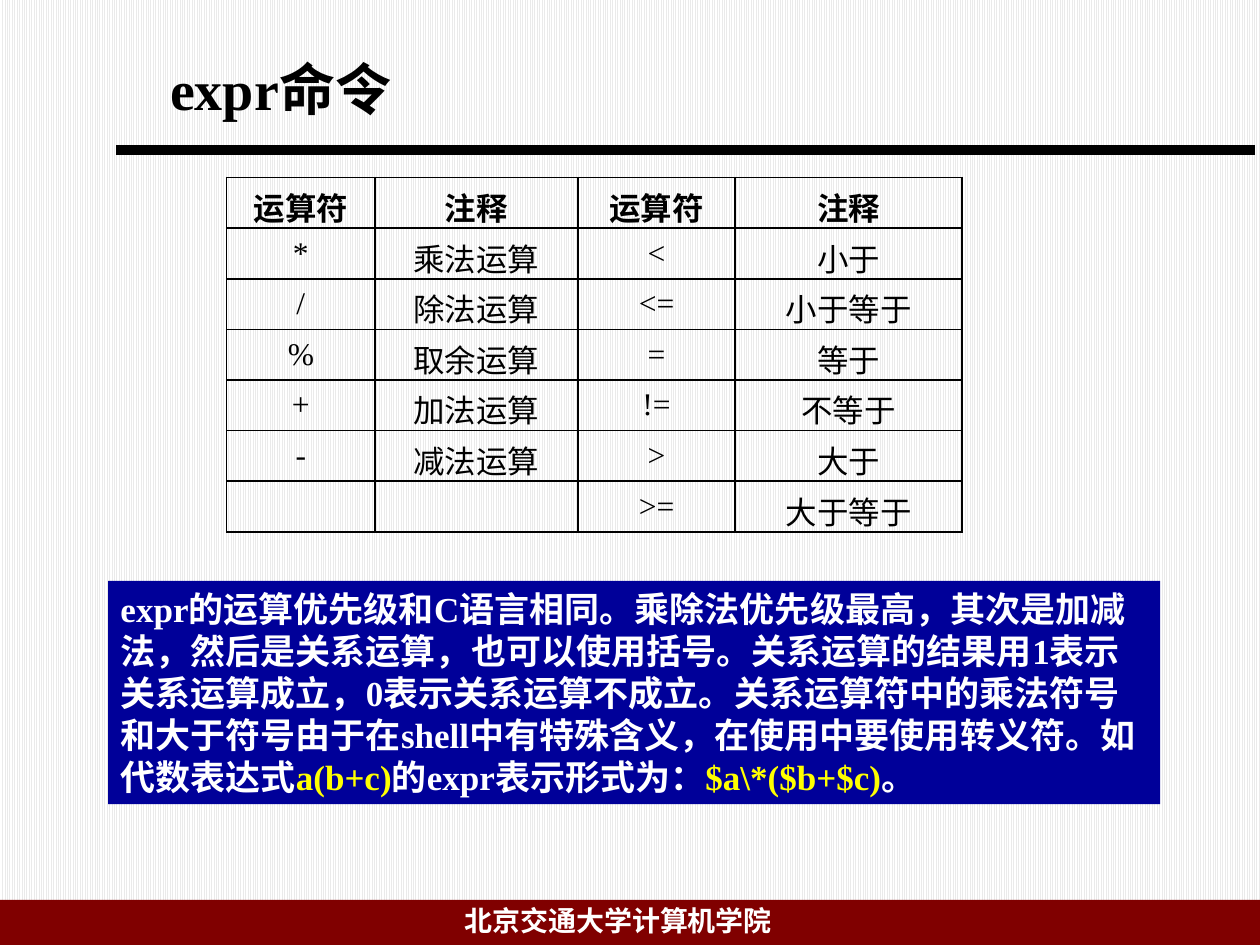
from pptx import Presentation
from pptx import util as u
from pptx.dml.color import RGBColor
from pptx.enum import dml, shapes, text
from pptx.oxml import parse_xml
from pptx.oxml.ns import nsdecls

BLACK = RGBColor(0x00, 0x00, 0x00)
WHITE = RGBColor(0xFF, 0xFF, 0xFF)
STRIPE = RGBColor(0xEA, 0xEA, 0xEA)
MAROON = RGBColor(0x80, 0x00, 0x00)
NAVY = RGBColor(0x00, 0x00, 0x99)
YELLOW = RGBColor(0xFF, 0xFF, 0x00)

OPERATORS = [
    ("运算符", "注释", "运算符", "注释"),
    ("*", "乘法运算", "<", "小于"),
    ("/", "除法运算", "<=", "小于等于"),
    ("%", "取余运算", "=", "等于"),
    ("+", "加法运算", "!=", "不等于"),
    ("-", "减法运算", ">", "大于"),
    ("", "", ">=", "大于等于"),
]
COLUMN_WIDTHS = (2.99, 4.09, 3.17, 4.57)
ROW_HEIGHT = 1.02

EXPLANATION = [
    ("expr的运算优先级和C语言相同。乘除法优先级最高，其次是加减法，然后是关系运算，"
     "也可以使用括号。关系运算的结果用1表示关系运算成立，0表示关系运算不成立。"
     "关系运算符中的乘法符号和大于符号由于在shell中有特殊含义，在使用中要使用转义符。"
     "如代数表达式", WHITE),
    ("a(b+c)", YELLOW),
    ("的expr表示形式为：", WHITE),
    ("$a\\*($b+$c)", YELLOW),
    ("。", WHITE),
]


class SlideBuilder:
    font_name = "Times New Roman"

    def __init__(self, slide):
        self.slide = slide

    def background(self, foreground, back):
        fill = self.slide.background.fill
        fill.patterned()
        fill.pattern = dml.MSO_PATTERN.LIGHT_VERTICAL
        fill.fore_color.rgb = foreground
        fill.back_color.rgb = back

    def add_runs(self, frame, runs, size, bold=True, align=text.PP_ALIGN.LEFT):
        """Fill the first paragraph of a frame with (words, colour) runs."""
        paragraph = frame.paragraphs[0]
        paragraph.alignment = align
        paragraph.font.size = u.Pt(size)
        for words, color in runs:
            run = paragraph.add_run()
            run.text = words
            run.font.name = self.font_name
            run.font.size = u.Pt(size)
            run.font.bold = bold
            run.font.color.rgb = color

    def rule(self, left, top, right, width):
        line = self.slide.shapes.add_connector(
            shapes.MSO_CONNECTOR.STRAIGHT, u.Cm(left), u.Cm(top), u.Cm(right), u.Cm(top))
        line.line.color.rgb = BLACK
        line.line.width = u.Pt(width)
        line._element.spPr.append(parse_xml(f"<a:effectLst {nsdecls('a')}/>"))

    def panel(self, left, top, width, height, color):
        shape = self.slide.shapes.add_shape(
            shapes.MSO_SHAPE.RECTANGLE, u.Cm(left), u.Cm(top), u.Cm(width), u.Cm(height))
        shape.shadow.inherit = False
        shape.fill.solid()
        shape.fill.fore_color.rgb = color
        shape.line.fill.background()
        shape.text_frame.word_wrap = True
        return shape.text_frame

    def label(self, left, top, width, height, runs, size,
              anchor=text.MSO_ANCHOR.TOP):
        box = self.slide.shapes.add_textbox(u.Cm(left), u.Cm(top), u.Cm(width), u.Cm(height))
        box.text_frame.word_wrap = True
        box.text_frame.vertical_anchor = anchor
        self.add_runs(box.text_frame, runs, size)

    def border(self, cell, width):
        for side in ("lnL", "lnR", "lnT", "lnB"):
            cell._tc.get_or_add_tcPr().append(parse_xml(
                f'<a:{side} {nsdecls("a")} w="{u.Pt(width)}"><a:solidFill>'
                f'<a:srgbClr val="{BLACK}"/></a:solidFill></a:{side}>'))

    def table(self, left, top, rows, widths, row_height, size):
        table = self.slide.shapes.add_table(
            len(rows), len(widths), u.Cm(left), u.Cm(top),
            u.Cm(sum(widths)), u.Cm(row_height * len(rows))).table
        for column, width in zip(table.columns, widths):
            column.width = u.Cm(width)
        for row_index, row in enumerate(rows):
            table.rows[row_index].height = u.Cm(row_height)
            for column_index, words in enumerate(row):
                cell = table.cell(row_index, column_index)
                cell.vertical_anchor = text.MSO_ANCHOR.MIDDLE
                self.border(cell, 1)
                cell.fill.background()
                self.add_runs(cell.text_frame, [(words, BLACK)] if words else [], size,
                              bold=row_index == 0, align=text.PP_ALIGN.CENTER)


def main():
    presentation = Presentation()
    presentation.slide_width = u.Cm(25.4)
    presentation.slide_height = u.Cm(19.05)
    builder = SlideBuilder(presentation.slides.add_slide(presentation.slide_layouts[6]))

    builder.background(STRIPE, WHITE)
    builder.rule(2.34, 3.02, 25.3, 6)
    builder.panel(0, 18.14, 25.4, 0.91, MAROON)
    builder.label(9.12, 18.08, 8.43, 0.94, [("北京交通大学计算机学院", WHITE)], 16)
    builder.table(4.57, 3.58, OPERATORS, COLUMN_WIDTHS, ROW_HEIGHT, 18)
    explanation = builder.panel(2.18, 11.71, 21.21, 4.5, NAVY)
    builder.add_runs(explanation, EXPLANATION, 20)
    builder.label(3.18, 0.79, 15.24, 1.96, [("expr命令", BLACK)], 32,
                  anchor=text.MSO_ANCHOR.MIDDLE)
    presentation.save("out.pptx")


if __name__ == "__main__":
    main()
